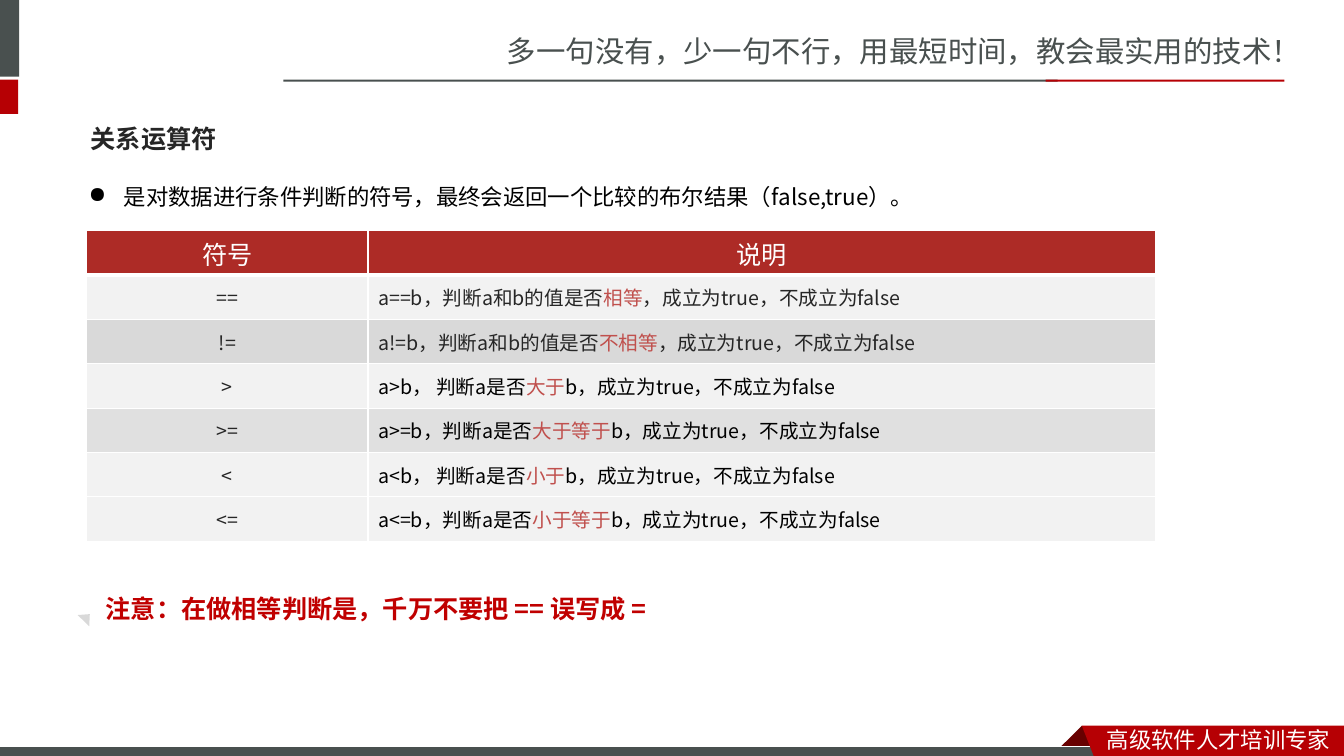
from lxml import etree
from pptx import Presentation
from pptx.dml.color import RGBColor
from pptx.enum.shapes import MSO_SHAPE
from pptx.enum.text import MSO_ANCHOR, MSO_AUTO_SIZE, PP_ALIGN
from pptx.oxml.ns import qn
from pptx.util import Emu, Pt

PX = 9144  # 100 px to the inch
TITLE_ONLY = 5
RECTANGLE, TRIANGLE = MSO_SHAPE.RECTANGLE, MSO_SHAPE.ISOSCELES_TRIANGLE
LEFT, CENTER = PP_ALIGN.LEFT, PP_ALIGN.CENTER
TOP, MIDDLE = MSO_ANCHOR.TOP, MSO_ANCHOR.MIDDLE
NO_AUTOFIT = MSO_AUTO_SIZE.NONE

SC, JP = "Noto Sans CJK SC", "Noto Sans CJK JP"
WHITE, BLACK, INK = "FFFFFF", "000000", "262626"
GRAY, RED, DARK_RED = "49504F", "B60004", "680000"
HEADER_RED, MARK_RED, NOTICE_RED = "AD2B26", "C0504D", "C00000"
PALE, SILVER = "F2F2F2", "D9D9D9"

# symbol, gap before the verdict, subject, marked word, ending, text colour, fill, opacity
RESULT = "，成立为true，不成立为false"
OPERATORS = [
    ("==", "", "a和b的值", "相等", RESULT, INK, PALE, 100),
    ("!=", "", "a和b的值", "不相等", RESULT, INK, SILVER, 100),
    (">", " ", "a", "大于", "b" + RESULT, BLACK, PALE, 100),
    (">=", "", "a", "大于等于", "b" + RESULT, BLACK, SILVER, 80),
    ("<", " ", "a", "小于", "b" + RESULT, BLACK, PALE, 100),
    ("<=", "", "a", "小于等于", "b" + RESULT, BLACK, PALE, 100),
]


def px(*lengths):
    return [Emu(length * PX) for length in lengths]


def rgb(color):
    return RGBColor.from_string(color)


def add_run(paragraph, text, size, font, color, bold=False):
    run = paragraph.add_run()
    run.text = text
    for name, value in {"size": Pt(size), "name": font, "bold": bold}.items():
        setattr(run.font, name, value)
    run.font.color.rgb = rgb(color)
    east_asian = etree.SubElement(run._r.get_or_add_rPr(), qn("a:ea"))
    east_asian.set("typeface", font)


def write_text(shape, text, size, font, color, bold=False, anchor=TOP, spacing=1.0):
    frame = shape.text_frame
    frame_format = {"word_wrap": True, "auto_size": NO_AUTOFIT, "vertical_anchor": anchor}
    for name, value in frame_format.items():
        setattr(frame, name, value)
    paragraph = frame.paragraphs[0]
    paragraph.alignment = LEFT
    paragraph.line_spacing = spacing
    add_run(paragraph, text, size, font, color, bold)
    return paragraph


def add_text(slide, box, *text, **text_format):
    return write_text(slide.shapes.add_textbox(*px(*box)), *text, **text_format)


def paint(shape, fill, line=None):
    shape.shadow.inherit = False
    shape.fill.solid()
    shape.fill.fore_color.rgb = rgb(fill)
    if line:
        shape.line.color.rgb = rgb(line)
        shape.line.width = Pt(0.75)
    else:
        shape.line.fill.background()
    return shape


def add_block(slide, box, fill, line=None, kind=RECTANGLE):
    return paint(slide.shapes.add_shape(kind, *px(*box)), fill, line)


def add_outline(slide, points, fill):
    builder = slide.shapes.build_freeform(*points[0], scale=PX)
    builder.add_line_segments(points[1:], close=True)
    paint(builder.convert_to_shape(), fill)


def add_banner(slide, left, top, width):
    # Corner blocks
    add_block(slide, (left - 6, top, 25, 76), GRAY)
    add_block(slide, (left - 6, top + 79, 24, 34), RED)
    # Slogan and its two-tone rule
    right = left + width
    add_text(slide, (right - 840, top + 28, 841, 47),
             "多一句没有，少一句不行，用最短时间，教会最实用的技术！", 21, SC, GRAY)
    add_block(slide, (right - 1052, top + 79, 768, 2), GRAY)
    add_block(slide, (right - 296, top + 79, 237, 2), RED)


def add_footer(slide, left, top, width):
    right = left + width
    fold = right - 260
    add_outline(slide, [(fold, top), (fold + 22, top + 22), (fold + 21, top + 23),
                        (fold - 21, top + 23), (fold - 22, top + 22)], DARK_RED)
    add_block(slide, (left - 1, top + 21, 1100, 12), GRAY, WHITE)
    add_outline(slide, [(fold, top), (right, top), (right, top + 34),
                        (fold + 13, top + 33)], RED)
    add_text(slide, (right - 245, top - 5, 245, 37), "高级软件人才培训专家", 16, SC, WHITE)


def add_heading(slide, left, top, width):
    title = slide.shapes.title
    title.left, title.top, title.width, title.height = px(left + 2, top, width, 57)
    write_text(title, "关系运算符", 18, JP, INK, bold=True, anchor=MIDDLE)
    # Bulleted definition
    paragraph = add_text(
        slide, (left, top + 54, 1014, 47),
        "是对数据进行条件判断的符号，最终会返回一个比较的布尔结果（false,true）。",
        16, JP, BLACK, spacing=1.5)
    properties = paragraph._p.get_or_add_pPr()
    indent = 35 * PX
    properties.set("marL", str(indent))
    properties.set("indent", str(-indent))
    etree.SubElement(properties, qn("a:buChar")).set("char", "●")


def format_cell(cell, fill, top_line, bottom_line, opacity=100):
    cell.vertical_anchor = MIDDLE
    cell.fill.solid()
    cell.fill.fore_color.rgb = rgb(fill)
    properties = cell._tc.get_or_add_tcPr()
    if opacity < 100:
        color = properties.find(".//" + qn("a:srgbClr"))
        etree.SubElement(color, qn("a:alpha")).set("val", str(opacity * 1000))
    # Borders come before the fill
    widths = {"lnL": 1, "lnR": 1, "lnT": top_line, "lnB": bottom_line}
    for position, (side, width) in enumerate(widths.items()):
        line = etree.Element(qn("a:" + side), w=str(Pt(width)))
        solid = etree.SubElement(line, qn("a:solidFill"))
        etree.SubElement(solid, qn("a:srgbClr")).set("val", WHITE)
        properties.insert(position, line)


def add_operator_table(slide, left, top, width, height):
    row_count = len(OPERATORS) + 1
    frame = slide.shapes.add_table(row_count, 2, *px(left, top, width, height))
    table = frame.table
    table.columns[0].width, table.columns[1].width = px(279, width - 279)
    # Header row
    for column, label in enumerate(("符号", "说明")):
        cell = table.cell(0, column)
        format_cell(cell, HEADER_RED, 1, 3)
        paragraph = cell.text_frame.paragraphs[0]
        paragraph.alignment, paragraph.line_spacing = CENTER, Pt(24)
        add_run(paragraph, label, 18, "Arial", WHITE)
    # One row for each operator
    for row, operator in enumerate(OPERATORS, 1):
        symbol, gap, subject, mark, ending, color, fill, opacity = operator
        symbol_cell, meaning_cell = table.cell(row, 0), table.cell(row, 1)
        for cell in (symbol_cell, meaning_cell):
            format_cell(cell, fill, 3 if row == 1 else 1, 1, opacity)
        paragraph = symbol_cell.text_frame.paragraphs[0]
        paragraph.alignment = CENTER
        add_run(paragraph, symbol, 14, JP, INK)
        paragraph = meaning_cell.text_frame.paragraphs[0]
        question = f"a{symbol}b，{gap}判断{subject}是否"
        for text, shade in ((question, color), (mark, MARK_RED), (ending, color)):
            add_run(paragraph, text, 14, JP, shade)


def add_notice(slide, left, top, width):
    corner = add_block(slide, (left, top + 39, 16, 9), SILVER, kind=TRIANGLE)
    corner.rotation = 44.2
    add_text(slide, (left + 17, top, width, 51),
             "注意：在做相等判断是，千万不要把 == 误写成 =", 18, JP, NOTICE_RED,
             bold=True, spacing=1.5)


def main():
    presentation = Presentation()
    presentation.slide_width, presentation.slide_height = px(1333, 750)
    slide = presentation.slides.add_slide(presentation.slide_layouts[TITLE_ONLY])
    add_banner(slide, 0, 0, 1333)
    add_footer(slide, 0, 720, 1333)
    add_operator_table(slide, 86, 229, 1060, 308)
    add_notice(slide, 78, 569, 1144)
    add_heading(slide, 78, 109, 1176)
    presentation.save("out.pptx")


if __name__ == "__main__":
    main()
